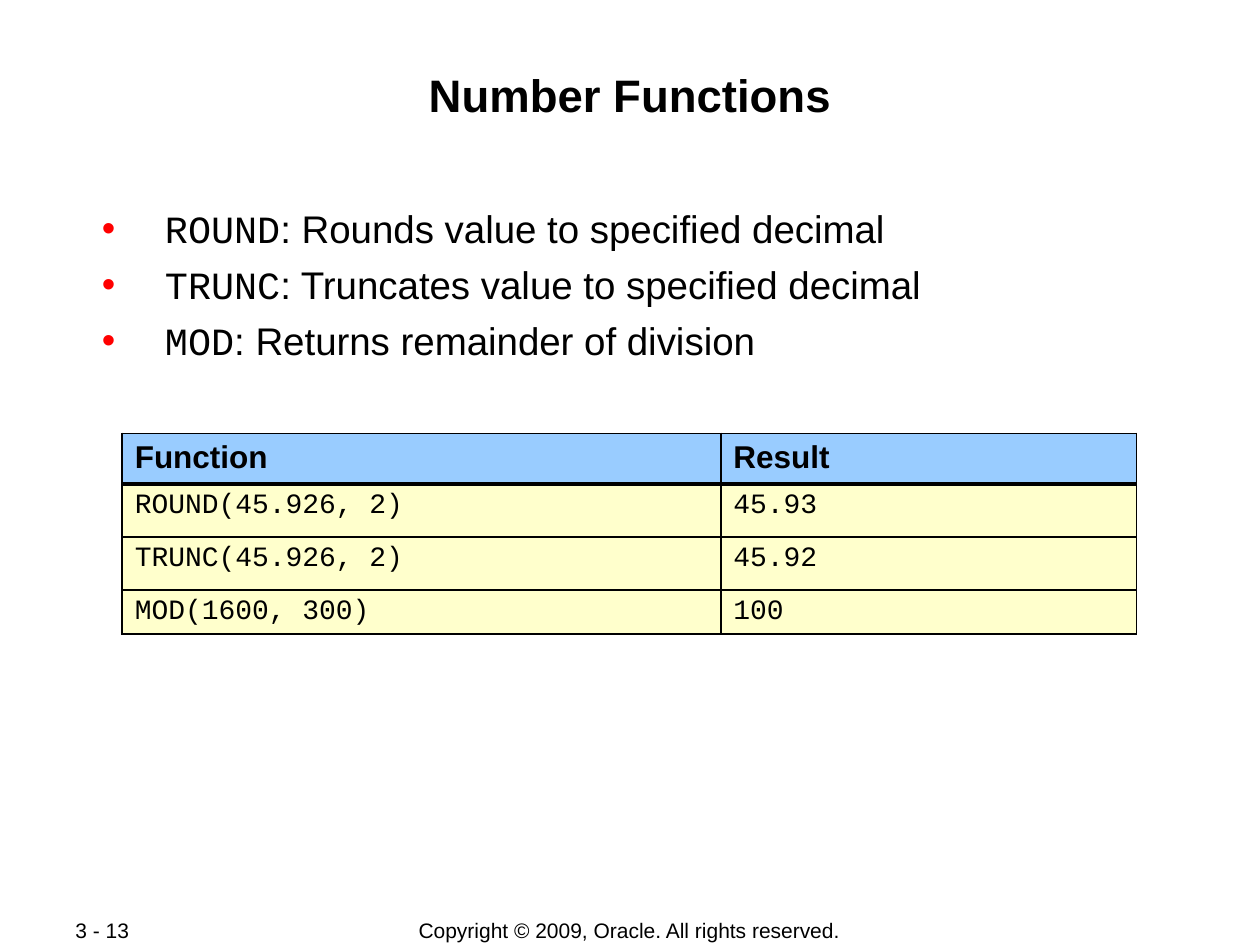
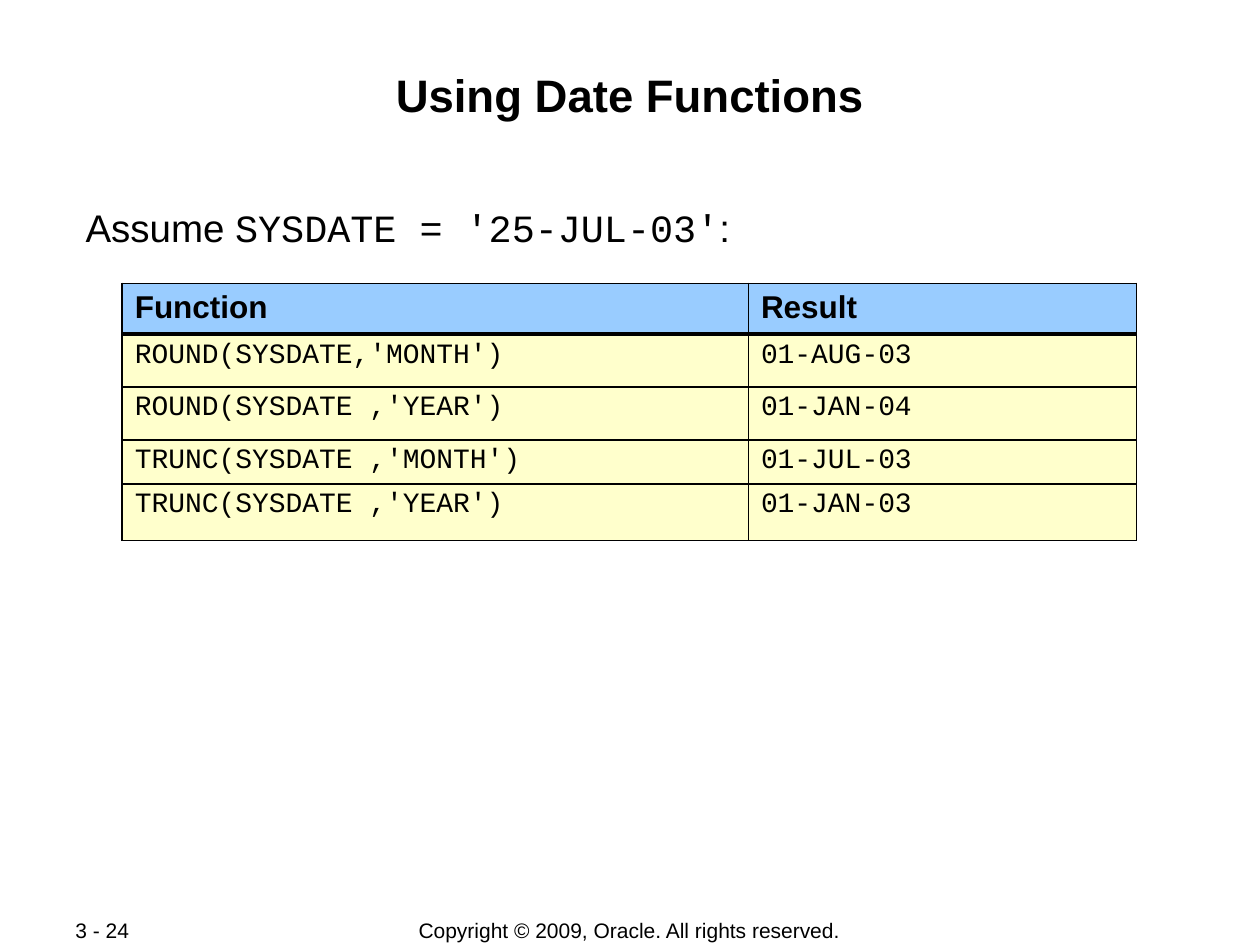
"""Build two slides on SQL number and date functions, each with a results table."""
from dataclasses import dataclass

from lxml.etree import SubElement
from pptx import Presentation
from pptx.dml.color import RGBColor
from pptx.enum.text import MSO_ANCHOR, PP_ALIGN
from pptx.oxml.ns import qn
from pptx.util import Inches, Pt


@dataclass(frozen=True)
class Theme:
    sans: str = "Arial"
    mono: str = "Courier New"
    ink: str = "000000"
    bullet: str = "FF0000"
    header_fill: str = "99CCFF"
    body_fill: str = "FFFFCC"
    title_size: float = 26
    text_size: float = 22
    header_size: float = 18
    code_size: float = 16
    footer_size: float = 12
    thin: float = 1.08
    thick: float = 2.21


T = Theme()
COPYRIGHT = "Copyright © 2009, Oracle. All rights reserved."
HEADER = ("Function", "Result")
TABLE_LEFT, TABLE_WIDTH = 0.97, 8.05

SLIDES = [
    {
        "title": "Number Functions",
        "number": "3 - 13",
        "body": [
            [("ROUND", T.mono), (": Rounds value to specified decimal", T.sans)],
            [("TRUNC", T.mono), (": Truncates value to specified decimal", T.sans)],
            [("MOD", T.mono), (": Returns remainder of division", T.sans)],
        ],
        "body_box": (0.67, 1.58, 8.66, 1.28),
        "body_format": {"bullet": True, "before": 5.5},
        "table_top": 3.44,
        "first_col": 4.75,
        "row_heights": (0.4, 0.42, 0.42, 0.35),
        "line_spacing": 0.95,
        "rows": [
            ("ROUND(45.926, 2)", "45.93"),
            ("TRUNC(45.926, 2)", "45.92"),
            ("MOD(1600, 300)", "100"),
        ],
    },
    {
        "title": "Using Date Functions",
        "number": "3 - 24",
        "body": [
            [("Assume ", T.sans), ("SYSDATE = '25-JUL-03'", T.mono), (":", T.sans)],
        ],
        "body_box": (0.67, 1.61, 8.66, 0.36),
        "body_format": {"spacing": 0.9},
        "table_top": 2.25,
        "first_col": 4.97,
        "row_heights": (0.4, 0.42, 0.42, 0.35, 0.45),
        "line_spacing": 0.9,
        "rows": [
            ("ROUND(SYSDATE,'MONTH')", "01-AUG-03"),
            ("ROUND(SYSDATE ,'YEAR')", "01-JAN-04"),
            ("TRUNC(SYSDATE ,'MONTH')", "01-JUL-03"),
            ("TRUNC(SYSDATE ,'YEAR')", "01-JAN-03"),
        ],
    },
]


def add_bullet(p):
    pPr = p._p.get_or_add_pPr()
    pPr.set("marL", str(Inches(0.63)))
    pPr.set("indent", str(Inches(-0.5)))
    color = SubElement(pPr, qn("a:buClr"))
    SubElement(color, qn("a:srgbClr"), val=T.bullet)
    SubElement(pPr, qn("a:buFont"), typeface=T.sans)
    SubElement(pPr, qn("a:buChar"), char="•")


def write(tf, paragraphs, *, size, bold=False, align=PP_ALIGN.LEFT,
          spacing=None, before=0, bullet=False):
    """Fill a text frame with paragraphs, each a list of (text, font) runs."""
    tf.word_wrap = True
    for i, runs in enumerate(paragraphs):
        p = tf.add_paragraph() if i else tf.paragraphs[0]
        if bullet:
            add_bullet(p)
        p.alignment = align
        if spacing:
            p.line_spacing = spacing
        if i:
            p.space_before = Pt(before)
        for text, font in runs:
            r = p.add_run()
            r.text = text
            r.font.name = font
            r.font.size = Pt(size)
            r.font.bold = bold
            r.font.color.rgb = RGBColor.from_string(T.ink)


def add_text(s, box, paragraphs, *, margins=(0.01, 0.05, 0.01, 0.01),
             anchor=MSO_ANCHOR.TOP, **fmt):
    tf = s.shapes.add_textbox(*map(Inches, box)).text_frame
    tf.margin_left, tf.margin_top, tf.margin_right, tf.margin_bottom = map(Inches, margins)
    tf.vertical_anchor = anchor
    write(tf, paragraphs, **fmt)


def set_borders(cell, **widths):
    tcPr = cell._tc.get_or_add_tcPr()
    for i, side in enumerate(("L", "R", "T", "B")):
        ln = tcPr.makeelement(qn(f"a:ln{side}"), {"w": str(Pt(widths.get(side, T.thin)))})
        fill = SubElement(ln, qn("a:solidFill"))
        SubElement(fill, qn("a:srgbClr"), val=T.ink)
        tcPr.insert(i, ln)


def add_results(s, data):
    rows = [HEADER, *data["rows"]]
    heights = data["row_heights"]
    table = s.shapes.add_table(
        len(rows), len(HEADER), Inches(TABLE_LEFT), Inches(data["table_top"]),
        Inches(TABLE_WIDTH), Inches(sum(heights))).table
    table.first_row = table.horz_banding = False
    widths = (data["first_col"], TABLE_WIDTH - data["first_col"])
    for column, width in zip(table.columns, widths):
        column.width = Inches(width)
    header_format = {"size": T.header_size, "bold": True}
    code_format = {"size": T.code_size, "spacing": data["line_spacing"]}
    for i, (values, height) in enumerate(zip(rows, heights)):
        table.rows[i].height = Inches(height)
        font, fill, fmt, edges = (
            (T.mono, T.body_fill, code_format, {"T": T.thick} if i == 1 else {}) if i
            else (T.sans, T.header_fill, header_format, {"B": T.thick}))
        for j, value in enumerate(values):
            cell = table.cell(i, j)
            cell.fill.solid()
            cell.fill.fore_color.rgb = RGBColor.from_string(fill)
            write(cell.text_frame, [[(value, font)]], **fmt)
            set_borders(cell, **edges)


def add_frame(s, data):
    footer = {"size": T.footer_size, "anchor": MSO_ANCHOR.MIDDLE,
              "margins": (0.1, 0.05, 0.1, 0.05)}
    add_text(s, (2.75, 7.28, 4.49, 0.21), [[(COPYRIGHT, T.sans)]],
             align=PP_ALIGN.CENTER, **footer)
    add_text(s, (0.5, 7.28, 1.06, 0.2), [[(data["number"], T.sans)]], **footer)
    add_text(s, (0.67, 0.48, 8.66, 0.96), [[(data["title"], T.sans)]],
             size=T.title_size, bold=True, align=PP_ALIGN.CENTER)


def main():
    prs = Presentation()
    prs.slide_width, prs.slide_height = Inches(10), Inches(7.5)
    for data in SLIDES:
        s = prs.slides.add_slide(prs.slide_layouts[6])
        add_frame(s, data)
        add_text(s, data["body_box"], data["body"], size=T.text_size, **data["body_format"])
        add_results(s, data)
    prs.save("out.pptx")


if __name__ == "__main__":
    main()
